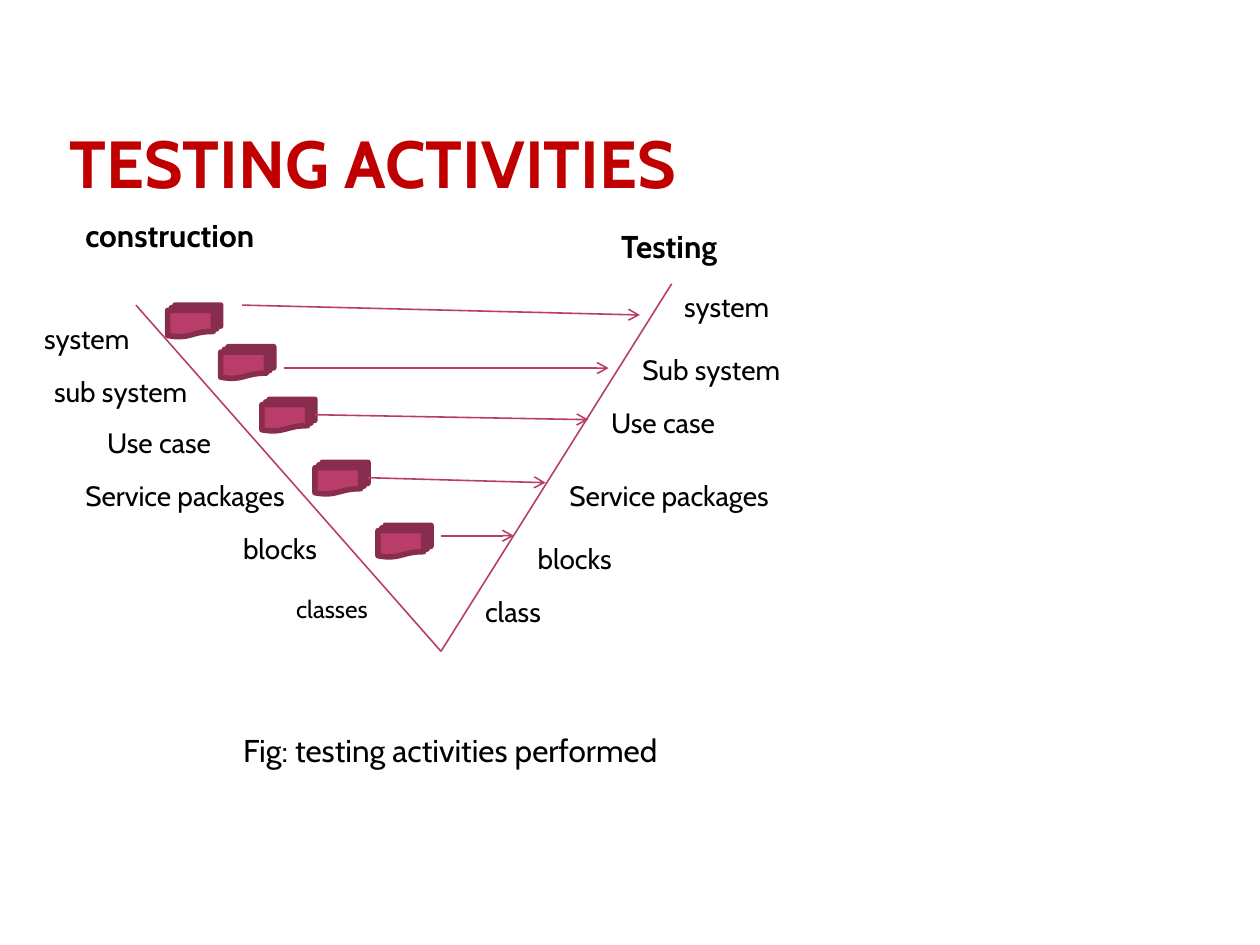
from lxml import etree
from pptx import Presentation
from pptx import util as u
from pptx.dml.color import RGBColor
from pptx.enum import shapes, text
from pptx.oxml.ns import qn

FONT = "Cabin"
RED, BLACK, PINK, PLUM = "C00000", "000000", "B83D68", "882D4D"

TITLE = "TESTING ACTIVITIES"
HEADINGS = [("construction", 1.47, 4.24, 4.29), ("Testing", 12.27, 4.45, 2.62)]
CAPTION = ("Fig: testing activities performed", 4.65, 14.61, 9.8)
CONSTRUCTION = [
    ("system", 0.64, 6.35, 2.26),
    ("sub system", 0.84, 7.42, 3.3),
    ("Use case", 1.91, 8.46, 2.72),
    ("Service packages", 1.47, 9.53, 4.85),
    ("blocks", 4.65, 10.59, 2.11),
]
CLASSES = ("classes", 5.72, 11.86, 2.03)
TESTING = [
    ("system", 13.54, 5.72, 2.26),
    ("Sub system", 12.7, 6.99, 3.35),
    ("Use case", 12.07, 8.05, 2.72),
    ("Service packages", 11.23, 9.53, 4.85),
    ("blocks", 10.59, 10.8, 2.11),
    ("class", 9.53, 11.86, 1.73),
]
V_POINTS = [(2.74, 6.15), (8.89, 13.13), (13.54, 5.72)]
DOCUMENTS = [(3.38, 6.15), (4.45, 6.99), (5.28, 8.05), (6.35, 9.32), (7.62, 10.59)]
ARROWS = [
    ((4.88, 6.15), (12.9, 6.35)),
    ((5.72, 7.42), (12.27, 7.42)),
    ((6.35, 8.36), (11.86, 8.46)),
    ((7.42, 9.63), (11, 9.73)),
    ((8.89, 10.8), (10.36, 10.8)),
]


def color(value):
    return RGBColor.from_string(value)


def style_text(frame, content, size, hex_color, bold=False):
    frame.text = content
    font = frame.paragraphs[0].runs[0].font
    font.name, font.size, font.bold = FONT, u.Pt(size), bold
    font.color.rgb = color(hex_color)


def add_label(slide, label, size=16, bold=False, wrap=False):
    content, left, top, width = label
    height = round(size * 0.0423 + 0.26, 2)
    box = slide.shapes.add_textbox(u.Cm(left), u.Cm(top), u.Cm(width), u.Cm(height))
    box.text_frame.word_wrap = wrap
    style_text(box.text_frame, content, size, BLACK, bold)


def add_line(slide, start, end, arrow=False):
    line = slide.shapes.add_connector(
        shapes.MSO_CONNECTOR.STRAIGHT, *[u.Cm(value) for value in start + end])
    line.line.color.rgb = color(PINK)
    line.line.width = u.Pt(0.9)
    properties = line._element.spPr
    if arrow:
        etree.SubElement(properties.find(qn("a:ln")), qn("a:tailEnd"), type="arrow")
    etree.SubElement(properties, qn("a:effectLst"))


def add_document(slide, left, top):
    shape = slide.shapes.add_shape(
        shapes.MSO_SHAPE.FLOWCHART_MULTIDOCUMENT,
        u.Cm(left), u.Cm(top), u.Cm(1.07), u.Cm(0.64))
    shape.shadow.inherit = False
    shape.fill.solid()
    shape.fill.fore_color.rgb = color(PINK)
    shape.line.color.rgb = color(PLUM)
    shape.line.width = u.Pt(3.15)


def add_title(slide):
    title = slide.shapes.title
    title.left, title.top = u.Cm(1.27), u.Cm(0.89)
    title.width, title.height = u.Cm(20.12), u.Cm(3.18)
    frame = title.text_frame
    frame.margin_left = frame.margin_right = u.Cm(0.13)
    frame.margin_top = frame.margin_bottom = 0
    frame.vertical_anchor = text.MSO_ANCHOR.BOTTOM
    style_text(frame, TITLE, 38, RED, True)
    frame.paragraphs[0].alignment = text.PP_ALIGN.LEFT


def main():
    """Build the slide on testing activities."""
    presentation = Presentation()
    presentation.slide_width, presentation.slide_height = u.Cm(25.4), u.Cm(19.05)
    slide = presentation.slides.add_slide(presentation.slide_layouts[5])
    add_title(slide)
    for start, end in zip(V_POINTS, V_POINTS[1:]):
        add_line(slide, start, end)
    for position in DOCUMENTS:
        add_document(slide, *position)
    for start, end in ARROWS:
        add_line(slide, start, end, arrow=True)
    for label in CONSTRUCTION + TESTING:
        add_label(slide, label)
    add_label(slide, CLASSES, size=14)
    for heading in HEADINGS:
        add_label(slide, heading, size=18, bold=True)
    add_label(slide, CAPTION, size=18)
    presentation.save("out.pptx")


if __name__ == "__main__":
    main()
